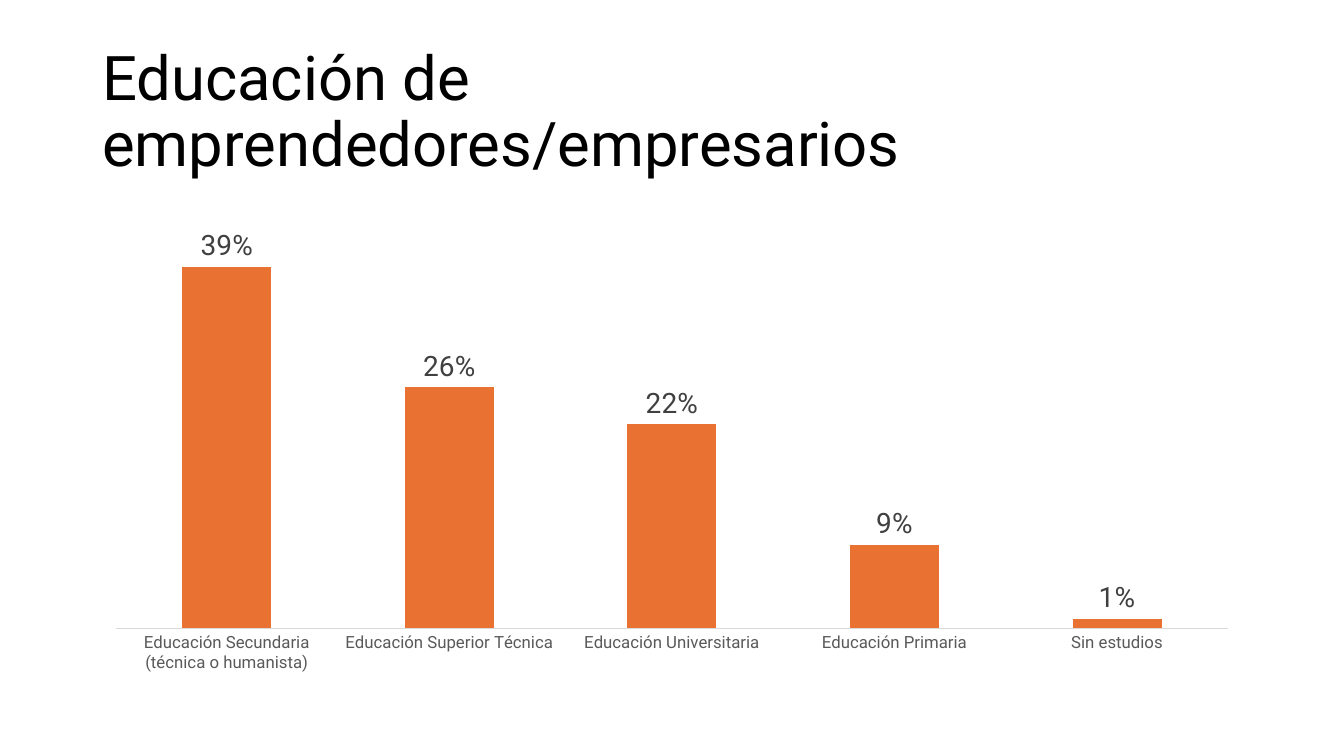
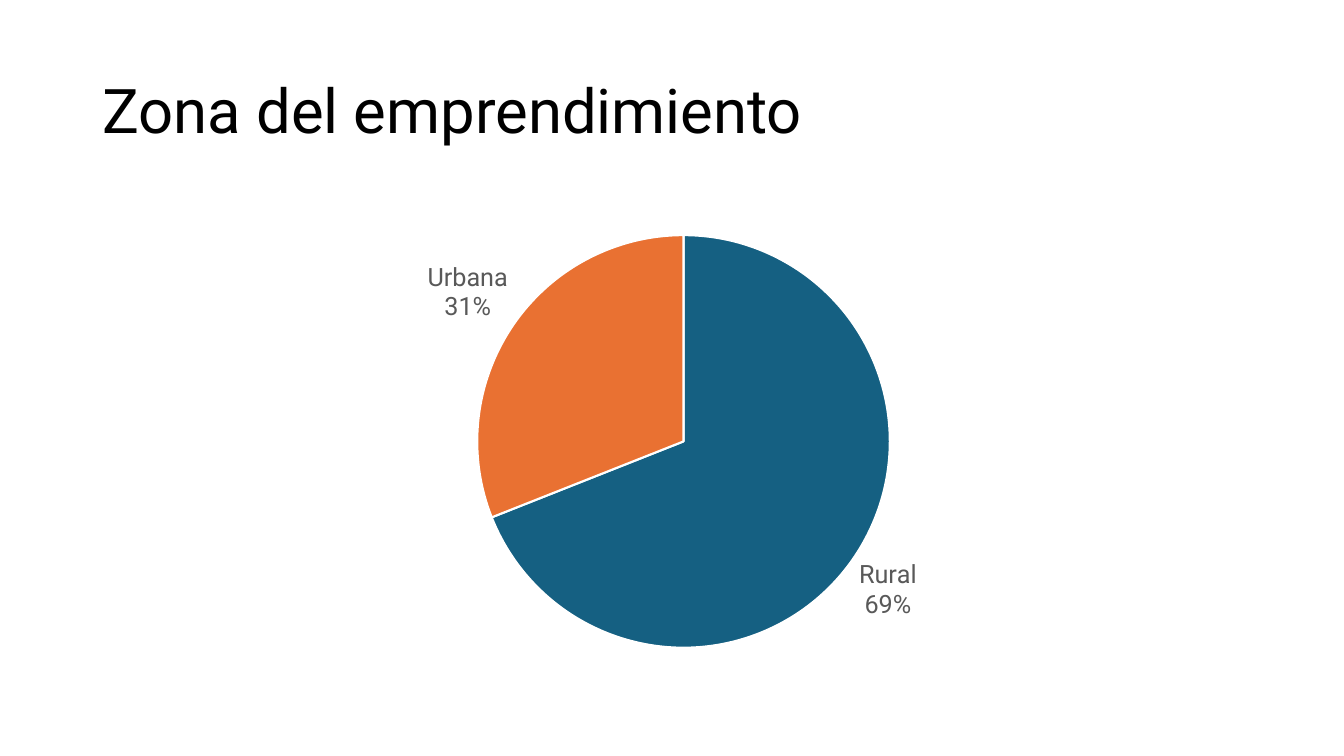
from dataclasses import dataclass

from lxml import etree
from pptx import Presentation
from pptx.chart.data import CategoryChartData
from pptx.dml.color import RGBColor
from pptx.enum import chart as ch, text
from pptx.oxml import ns
from pptx.util import Pt


@dataclass(frozen=True)
class Theme:
    font: str = "Roboto"
    black: str = "000000"
    white: str = "FFFFFF"
    label: str = "404040"
    muted: str = "595959"
    axis: str = "D9D9D9"
    orange: str = "E97132"
    blue: str = "156082"
    title_size: int = 44
    value_size: int = 20
    slice_size: int = 18
    category_size: int = 12
    base_size: int = 10


THEME = Theme()
LEFT, WIDTH = 66, 828
TITLE_TOP, TITLE_HEIGHT = 28.8, 104.4
CHART_TOP, CHART_HEIGHT = 144, 342.7


def format_text(target, content=None, *, size, color):
    """Style a font, or fill a text frame with one styled paragraph of content."""
    font = target
    if content is not None:
        paragraph = target.paragraphs[0]
        paragraph.line_spacing = 0.9
        run = paragraph.add_run()
        run.text = content
        font = run.font
    font.name = THEME.font
    font.size = Pt(size)
    font.color.rgb = RGBColor.from_string(color)


def add_chart_slide(title, kind, categories, values, plot_box):
    """Add a titled slide; plot_box is x, y, w, h as fractions of the chart."""
    slide = deck.slides.add_slide(deck.slide_layouts[6])
    heading = slide.shapes.add_textbox(
        Pt(LEFT), Pt(TITLE_TOP), Pt(WIDTH), Pt(TITLE_HEIGHT)).text_frame
    heading.word_wrap = True
    heading.vertical_anchor = text.MSO_ANCHOR.MIDDLE
    format_text(heading, title, size=THEME.title_size, color=THEME.black)

    data = CategoryChartData(number_format="General")
    data.categories = categories
    data.add_series("Series 1", values)
    chart = slide.shapes.add_chart(
        kind, Pt(LEFT), Pt(CHART_TOP), Pt(WIDTH), Pt(CHART_HEIGHT), data).chart
    chart.has_title = False
    chart.has_legend = False
    format_text(chart.font, size=THEME.base_size, color=THEME.black)

    plot_area = chart.element.find(".//" + ns.qn("c:plotArea"))
    for old_layout in plot_area.findall(ns.qn("c:layout")):
        plot_area.remove(old_layout)
    layout = etree.Element(ns.qn("c:layout"))
    plot_area.insert(0, layout)
    manual = etree.SubElement(layout, ns.qn("c:manualLayout"))
    settings = [("layoutTarget", "inner"), ("xMode", "edge"), ("yMode", "edge")]
    for tag, setting in settings + list(zip("xywh", plot_box)):
        etree.SubElement(manual, ns.qn(f"c:{tag}")).set("val", str(setting))
    return chart


deck = Presentation()
deck.slide_width, deck.slide_height = Pt(960), Pt(540)

# Education of entrepreneurs
education = add_chart_slide(
    "Educación de emprendedores/empresarios",
    ch.XL_CHART_TYPE.COLUMN_CLUSTERED,
    ["Educación Secundaria (técnica o humanista)", "Educación Superior Técnica",
     "Educación Universitaria", "Educación Primaria", "Sin estudios"],
    [0.39, 0.26, 0.22, 0.09, 0.01],
    (0.02, 0.02, 0.96, 0.87))

levels = education.category_axis
levels.major_tick_mark = ch.XL_TICK_MARK.NONE
levels.format.line.color.rgb = RGBColor.from_string(THEME.axis)
levels.format.line.width = Pt(0.75)
format_text(levels.tick_labels.font, size=THEME.category_size, color=THEME.muted)

shares = education.value_axis
shares.visible = False
shares.has_major_gridlines = False
shares.minimum_scale, shares.maximum_scale = 0, 0.45

columns = education.plots[0]
columns.vary_by_categories = False
columns.gap_width, columns.overlap = 150, -25
column_fill = columns.series[0].format.fill
column_fill.solid()
column_fill.fore_color.rgb = RGBColor.from_string(THEME.orange)

share_labels = columns.series[0].data_labels
share_labels.show_value = True
share_labels.number_format = "0%"
share_labels.number_format_is_linked = False
share_labels.position = ch.XL_LABEL_POSITION.OUTSIDE_END
format_text(share_labels.font, size=THEME.value_size, color=THEME.label)

# Rural and urban areas
zone = add_chart_slide(
    "Zona del emprendimiento", ch.XL_CHART_TYPE.PIE,
    ["Rural", "Urbana"], [69, 31], (0.33, 0.07, 0.36, 0.86))

pie = zone.plots[0]
pie.vary_by_categories = True
for index, color in enumerate([THEME.blue, THEME.orange]):
    piece = pie.series[0].points[index].format
    piece.fill.solid()
    piece.fill.fore_color.rgb = RGBColor.from_string(color)
    piece.line.color.rgb = RGBColor.from_string(THEME.white)
    piece.line.width = Pt(1.5)

zone_labels = pie.series[0].data_labels
zone_labels.show_value = False
zone_labels.show_category_name = True
zone_labels.show_percentage = True
zone_labels.number_format = "0%"
zone_labels.number_format_is_linked = False
zone_labels.position = ch.XL_LABEL_POSITION.OUTSIDE_END
format_text(zone_labels.font, size=THEME.slice_size, color=THEME.muted)

separator = etree.Element(ns.qn("c:separator"))
separator.text = "\n"
label_flags = pie.series[0].data_labels._element
label_flags.find(ns.qn("c:showBubbleSize")).addnext(separator)

deck.save("out.pptx")
